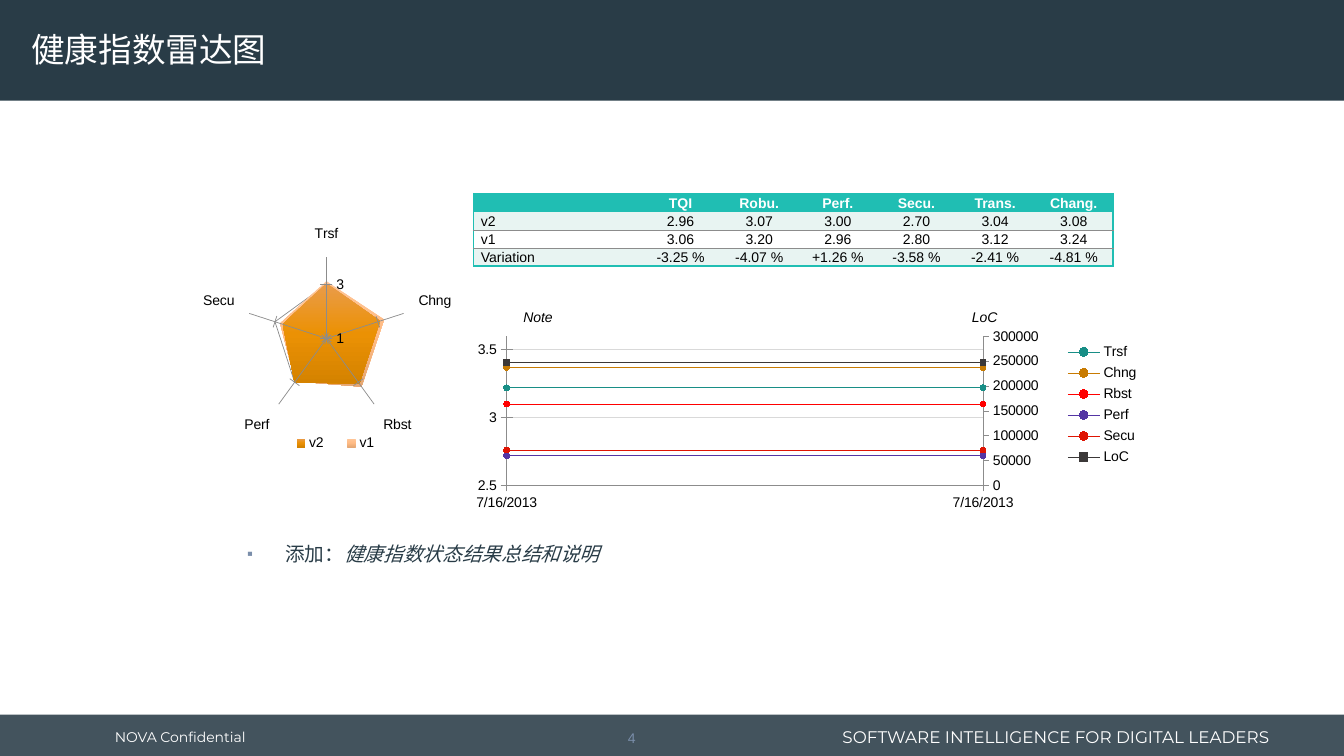
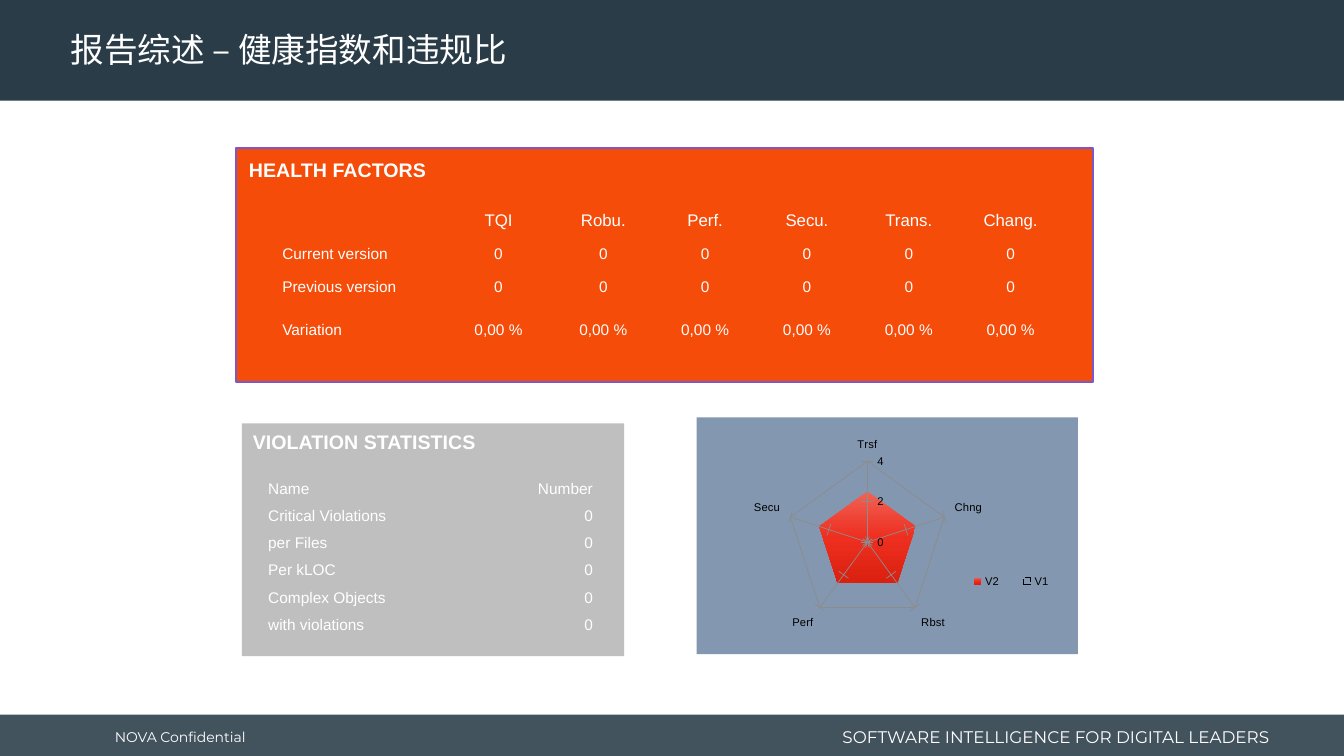
"""Build two slides on health factors: radar charts, tables and a trend chart."""
from copy import deepcopy

from pptx import Presentation
from pptx.chart import axis as ax
from pptx.chart.data import CategoryChartData
from pptx.dml.color import RGBColor
from pptx.enum import chart as ch, dml, shapes, text as tx
from pptx.oxml import ns, parse_xml
from pptx.util import Inches, Pt

HUES = {
    "navy": "293C47", "white": "FFFFFF", "black": "000000", "slate": "7A8EAA",
    "teal": "20BEB3", "mint": "E8F4F2", "gray": "8C8C8C", "pale": "D9D9D9",
    "orange": "F54C09", "purple": "7859C9", "silver": "BFBFBF", "blue": "8497B0",
    "Trsf": "188E86", "Chng": "C87B02", "Rbst": "FF0000",
    "Perf": "5435A4", "Secu": "DF1403", "LoC": "3B3838",
}
AMBER = ("EA9C4B", "EB9104", "D48200")
PEACH = ("FFC597", "FFBC85", "E5A774")
RED = ("F16255", "EE2F20", "DB200F")
AXES = ["Trsf", "Chng", "Rbst", "Perf", "Secu"]
HEADS = ["", "TQI", "Robu.", "Perf.", "Secu.", "Trans.", "Chang."]
LEFT, MID, RIGHT = tx.PP_ALIGN.LEFT, tx.PP_ALIGN.CENTER, tx.PP_ALIGN.RIGHT
PLOT = (0.16, 0.13, 0.45, 0.73)


def rgb(name):
    return RGBColor.from_string(HUES[name])


def node(tag, body="", attrs=""):
    """Make one XML element in the drawing or chart namespace."""
    return parse_xml(f"<{tag} {ns.nsdecls('a', 'c')} {attrs}>{body}</{tag}>")


def write(para, words, size=10, color="white", font="Arial", bold=False,
          italic=False, align=LEFT, line=None, before=0, after=0):
    """Add one formatted run to a paragraph."""
    para.alignment, para.line_spacing = align, line
    para.space_before, para.space_after = Pt(before), Pt(after)
    if not words:
        para._p.get_or_add_endParaRPr().set("sz", str(size * 100))
        return
    run = para.add_run()
    run.text = words
    face = run.font
    face.size, face.name, face.bold, face.italic = Pt(size), font, bold, italic
    face.color.rgb = rgb(color)


def place(host, box, inner=False):
    """Give a plot area or a legend a fixed place in its chart."""
    for old in host.findall(ns.qn("c:layout")):
        host.remove(old)
    parts = '<c:layoutTarget val="inner"/>' if inner else ""
    parts += '<c:xMode val="edge"/><c:yMode val="edge"/>'
    parts += "".join(f'<c:{k} val="{v}"/>' for k, v in zip("xywh", box))
    new = node("c:layout", f"<c:manualLayout>{parts}</c:manualLayout>")
    if inner:
        host.insert(0, new)
    else:
        host.find(ns.qn("c:legendPos")).addnext(new)


class Deck:
    """Hold the style and the current slide."""

    def __init__(self):
        self.show = Presentation()
        self.show.slide_width, self.show.slide_height = Inches(13.33), Inches(7.5)
        self.slide = None

    def page(self, title, left, layout):
        self.slide = self.show.slides.add_slide(self.show.slide_layouts[layout])
        para = self.hold(0, (left, 0.03, 9.58, 0.96), 0.1, tx.MSO_ANCHOR.MIDDLE)
        write(para, title, size=24, font="Montserrat", line=0.9)

    def base(self):
        """Draw the bands and footers and move them to the master."""
        self.box((0, 7.09, 13.33, 0.44), "navy", alpha=88)
        self.box((0, 0, 13.33, 1), "navy")
        self.label("NOVA Confidential", (1.04, 7.11, 1.48, 0.4), wrap=False,
                   middle=True, font="Montserrat")
        self.label("SOFTWARE INTELLIGENCE FOR DIGITAL LEADERS",
                   (8.11, 7.15, 4.58, 0.32), middle=True, size=12,
                   font="Montserrat", align=RIGHT)
        for item in list(self.slide.shapes):
            if not item.is_placeholder:
                self.show.slide_master.shapes.element.append(item.element)

    def hold(self, idx, spot, pad, anchor):
        """Move a placeholder and return its first paragraph."""
        item = self.slide.placeholders[idx]
        item.left, item.top, item.width, item.height = map(Inches, spot)
        return self.frame(item.text_frame, pad, pad, anchor)

    def frame(self, frame, side, top, anchor):
        frame.auto_size = tx.MSO_AUTO_SIZE.NONE
        frame.margin_left = frame.margin_right = Inches(side)
        frame.margin_top = frame.margin_bottom = Inches(top)
        frame.vertical_anchor = anchor
        return frame.paragraphs[0]

    def box(self, spot, fill, line=None, alpha=None):
        item = self.slide.shapes.add_shape(shapes.MSO_SHAPE.RECTANGLE, *map(Inches, spot))
        item.shadow.inherit = False
        item.fill.solid()
        item.fill.fore_color.rgb = rgb(fill)
        if alpha:
            hue = item.element.spPr.find(".//" + ns.qn("a:srgbClr"))
            hue.append(node("a:alpha", attrs=f'val="{alpha * 1000}"'))
        if line:
            item.line.color.rgb, item.line.width = rgb(line), Pt(1)
        else:
            item.line.fill.background()

    def label(self, words, spot, wrap=True, middle=False, pad=(0.1, 0.05), **style):
        frame = self.slide.shapes.add_textbox(*map(Inches, spot)).text_frame
        anchor = tx.MSO_ANCHOR.MIDDLE if middle else tx.MSO_ANCHOR.TOP
        para = self.frame(frame, *pad, anchor)
        frame.word_wrap = wrap
        write(para, words, **style)

    def bullet(self, spot, *parts):
        para = self.hold(1, spot, 0.05, tx.MSO_ANCHOR.TOP)
        for words, italic in parts:
            write(para, words, size=14, color="navy", italic=italic)
        props = para._p.get_or_add_pPr()
        props.set("marL", str(Inches(0.38)))
        props.set("indent", str(Inches(-0.38)))
        props.append(node("a:buClr", f'<a:srgbClr val="{HUES["slate"]}"/>'))
        props.append(node("a:buSzPct", attrs='val="85000"'))
        props.append(node("a:buChar", attrs='char="▪"'))

    def table(self, spot, cols, rows, cells, style, fills=None, pad=0.07, align=MID):
        """Add a table; style maps a row to a text format."""
        item = self.slide.shapes.add_table(len(rows), len(cols), *map(Inches, spot))
        grid = item.table
        grid.first_row = grid.horz_banding = False
        grid._tbl.tblPr[0].text = "{2D5ABB26-0587-4C30-8999-92F81FD0307C}"
        for col, size in zip(grid.columns, cols):
            col.width = Inches(size)
        for r, (row, size) in enumerate(zip(grid.rows, rows)):
            row.height = Inches(size)
            for c, cell in enumerate(row.cells):
                cell.margin_top = cell.margin_bottom = 0
                cell.margin_left = cell.margin_right = Inches(0.07 if c == 0 else pad)
                write(cell.text_frame.paragraphs[0], cells[r][c], line=1.15,
                      align=align if c else LEFT, **style(r))
                if fills:
                    cell.fill.solid()
                    cell.fill.fore_color.rgb = rgb(fills[r])
                    self.edge(cell, r, c, len(rows), len(cols))
                else:
                    cell.fill.background()

    def edge(self, cell, r, c, high, wide):
        """Draw a teal rim and thin gray rules between body rows."""
        rim, rule = ("teal", 1), ("gray", 0.5)
        lines = {"T": rim if r < 2 else rule, "B": rule if 0 < r < high - 1 else rim}
        if c == 0:
            lines["L"] = rim
        if c == wide - 1:
            lines["R"] = rim
        for side in "BTRL":
            if side in lines:
                hue, width = lines[side]
                body = f'<a:solidFill><a:srgbClr val="{HUES[hue]}"/></a:solidFill>'
                cell._tc.get_or_add_tcPr().insert(
                    0, node(f"a:ln{side}", body, f'w="{Pt(width)}"'))

    def chart(self, kind, spot, cats, rows, plot, key, size, span, step, grid="gray"):
        """Add a chart with its scale, legend and fixed layout."""
        data = CategoryChartData()
        data.categories = cats
        for name, vals in rows:
            data.add_series(name, vals)
        item = self.slide.shapes.add_chart(kind, *map(Inches, spot), data).chart
        item.has_title, item.has_legend = False, True
        item.font.size, item.font.name = Pt(size), "Arial"
        item.font.color.rgb = rgb("black")
        item.plots[0].vary_by_categories = False
        item.legend.position = ch.XL_LEGEND_POSITION.RIGHT
        item.legend.include_in_layout = False
        root = item.element
        root.find(ns.qn("c:chart")).addnext(
            node("c:spPr", "<a:noFill/><a:ln><a:noFill/></a:ln>"))
        place(root.find(".//" + ns.qn("c:plotArea")), plot, inner=True)
        place(root.find(".//" + ns.qn("c:legend")), key)
        for side in (item.category_axis, item.value_axis):
            side.format.line.color.rgb, side.format.line.width = rgb("gray"), Pt(0.5)
        item.category_axis.major_tick_mark = ch.XL_TICK_MARK.OUTSIDE
        val = item.value_axis
        val.major_tick_mark = ch.XL_TICK_MARK.CROSS
        val.minimum_scale, val.maximum_scale = span
        val.major_unit = step
        val.tick_labels.number_format = "General"
        val.tick_labels.number_format_is_linked = False
        val.has_major_gridlines = True
        rule = val.major_gridlines.format.line
        rule.color.rgb, rule.width = rgb(grid), Pt(0.5)
        return item

    def radar(self, spot, rows, fades, key, size, span):
        item = self.chart(ch.XL_CHART_TYPE.RADAR_FILLED, spot, AXES, rows, PLOT,
                          key, size, span, 2)
        for row, fade in zip(item.series, fades):
            if fade:
                stops = "".join(f'<a:gs pos="{n * 50000}"><a:srgbClr val="{hue}"/></a:gs>'
                                for n, hue in enumerate(fade))
                body = f'<a:gsLst>{stops}</a:gsLst><a:lin ang="5400000" scaled="0"/>'
                row.format.line.fill.background()
                row._element.get_or_add_spPr().insert(0, node("a:gradFill", body))
            else:
                row.format.fill.background()
                row.format.line.color.rgb, row.format.line.width = rgb("black"), Pt(1.25)
                row.format.line.dash_style = dml.MSO_LINE.LONG_DASH

    def trend(self, spot, cats, rows, key):
        """Add a line chart whose last series uses the right axis."""
        item = self.chart(ch.XL_CHART_TYPE.LINE_MARKERS, spot, cats, rows,
                          (0.06, 0.13, 0.7, 0.59), key, 10, (2.5, 3.6), 0.5, "pale")
        for row in item.series:
            hue = rgb(row.name)
            row.smooth = False
            row.format.line.color.rgb, row.format.line.width = hue, Pt(0.5)
            mark = row.marker
            square = row.name == "LoC"
            mark.style = ch.XL_MARKER_STYLE.SQUARE if square else ch.XL_MARKER_STYLE.CIRCLE
            mark.size = 4
            mark.format.fill.solid()
            mark.format.fill.fore_color.rgb = mark.format.line.color.rgb = hue
        area = item.element.find(".//" + ns.qn("c:plotArea"))
        line, cat, val = (area.find(ns.qn(t)) for t in ("c:lineChart", "c:catAx", "c:valAx"))
        for old in val.findall(ns.qn("c:crossBetween")):
            val.remove(old)
        val.find(ns.qn("c:crosses")).addnext(node("c:crossBetween", attrs='val="midCat"'))
        plot, base, side = (deepcopy(part) for part in (line, cat, val))
        for twin in (plot, base, side):
            for ref in twin.iter(ns.qn("c:axId"), ns.qn("c:crossAx")):
                ref.set("val", str(int(ref.get("val")) + 7))
        line.remove(line.findall(ns.qn("c:ser"))[-1])
        for old in plot.findall(ns.qn("c:ser"))[:-1]:
            plot.remove(old)
        line.addnext(plot)
        val.addnext(side)
        side.addnext(base)
        ax.CategoryAxis(base).visible = False
        side.find(ns.qn("c:axPos")).set("val", "r")
        side.find(ns.qn("c:crosses")).set("val", "max")
        scale = ax.ValueAxis(side)
        scale.has_major_gridlines = False
        scale.major_tick_mark = ch.XL_TICK_MARK.OUTSIDE
        scale.minimum_scale, scale.maximum_scale, scale.major_unit = 0, 300000, 50000


def main():
    deck = Deck()
    deck.page("健康指数雷达图", 0.21, 1)
    deck.base()
    deck.label("4", (5.99, 7.19, 0.55, 0.25), color="slate", align=MID, before=2)
    deck.table(
        (4.7, 1.92, 6.36, 0.75), [1.66] + [0.78] * 6, [0.18] * 4,
        [HEADS,
         ["v2", "2.96", "3.07", "3.00", "2.70", "3.04", "3.08"],
         ["v1", "3.06", "3.20", "2.96", "2.80", "3.12", "3.24"],
         ["Variation", "-3.25 %", "-4.07 %", "+1.26 %", "-3.58 %", "-2.41 %", "-4.81 %"]],
        lambda r: {"color": "black" if r else "white", "bold": r == 0},
        ["teal", "mint", "white", "mint"])
    deck.radar((1.86, 1.78, 3.58, 3.19),
               [("v2", (3.04, 3.08, 3.07, 3, 2.7)), ("v1", (3.12, 3.24, 3.2, 2.96, 2.8))],
               [AMBER, PEACH], (0.25, 0.78, 0.32, 0.08), 10, (1, 4))
    for words, left in (("Note", 5.14), ("LoC", 9.59)):
        deck.label(words, (left, 3.01, 0.44, 0.27), wrap=False, pad=(0.05, 0.05),
                   color="black", italic=True, before=3, after=4)
    deck.bullet((2.4, 5.33, 8.87, 0.34), ("添加：", False),
                ("健康指数状态结果总结和说明", True))
    ends = zip(AXES + ["LoC"], (3.22, 3.37, 3.1, 2.72, 2.76, 247000))
    deck.trend((4.62, 3.01, 6.75, 2.51), ["7/16/2013"] * 2,
               [(name, (val, val)) for name, val in ends], (0.88, 0.14, 0.11, 0.52))

    deck.page("报告综述 – 健康指数和违规比", 0.6, 5)
    deck.box((6.91, 4.14, 3.78, 2.35), "blue")
    deck.box((2.34, 1.47, 8.5, 2.32), "orange", "purple")
    deck.box((2.4, 4.2, 3.79, 2.31), "silver")
    deck.table(
        (2.73, 2.07, 7.82, 1.43), [1.68, 1.07] + [1.01] * 5, [0.34, 0.33, 0.43, 0.33],
        [HEADS, ["Current version"] + ["0"] * 6, ["Previous version"] + ["0"] * 6,
         ["Variation"] + ["0,00 %"] * 6],
        lambda r: {"size": 11 if r else 12}, pad=0)
    names = ["Critical Violations", "per Files", "Per kLOC", "Complex Objects",
             "with violations"]
    deck.table((2.59, 4.74, 3.37, 1.62), [2.11, 1.25], [0.27] * 6,
               [["Name", "Number"]] + [[name, "0"] for name in names],
               lambda r: {"size": 11}, align=RIGHT)
    deck.label("HEALTH FACTORS", (2.37, 1.52, 3.69, 0.34), size=14, bold=True)
    deck.label("VIOLATION STATISTICS", (2.41, 4.22, 3.09, 0.34), size=14, bold=True)
    deck.radar((7.21, 4.29, 3.62, 2.2), [("V2", [2.5] * 5), ("V1", [1.5] * 5)],
               [RED, None], (0.62, 0.62, 0.32, 0.1), 8, (0, 4))
    deck.show.save("out.pptx")


if __name__ == "__main__":
    main()
